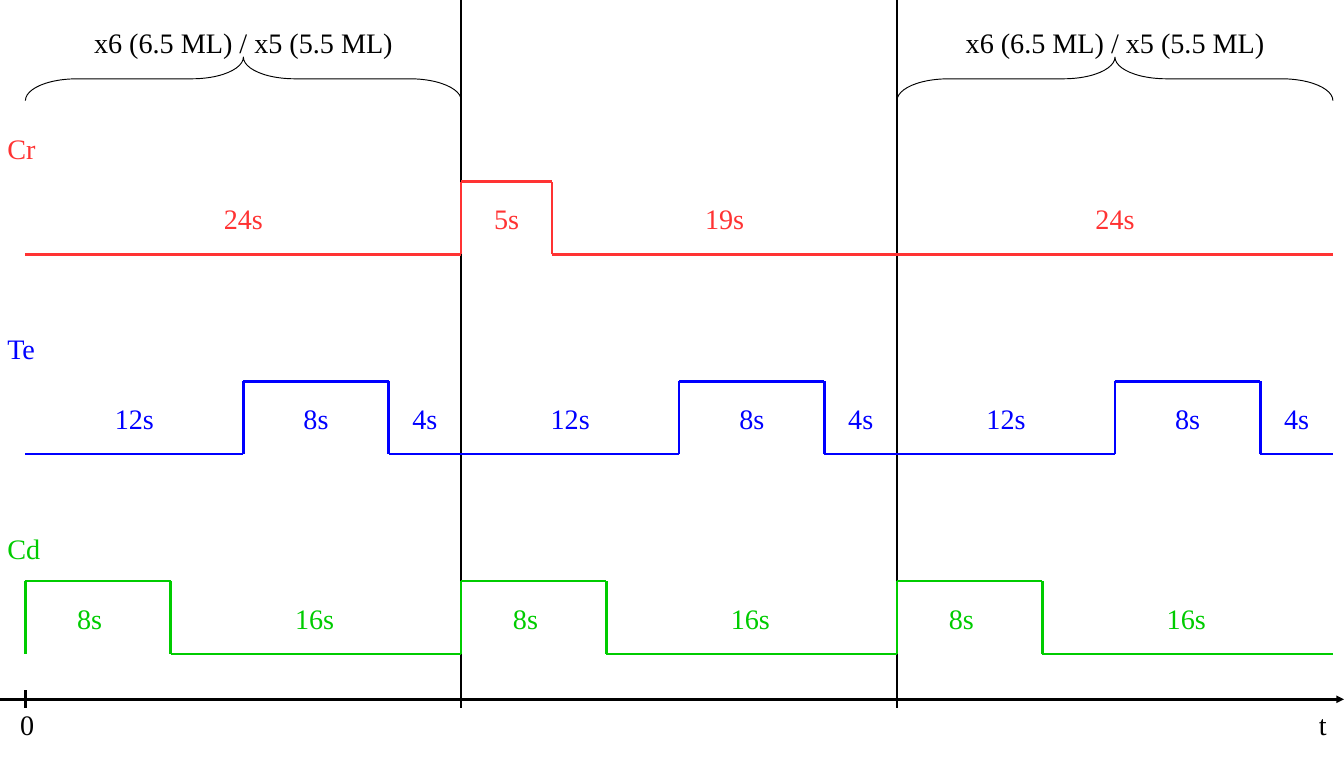
"""Build a timing diagram of the Cr, Te and Cd shutter pulses."""
from dataclasses import dataclass

from lxml.etree import SubElement
from pptx import Presentation
from pptx.dml.color import RGBColor
from pptx.enum.shapes import MSO_CONNECTOR, MSO_SHAPE
from pptx.enum.text import MSO_AUTO_SIZE, PP_ALIGN
from pptx.oxml.ns import qn
from pptx.util import Pt


@dataclass(frozen=True)
class Theme:
    black: str = "000000"
    red: str = "FF3333"
    blue: str = "0000FF"
    green: str = "00CC00"
    font: str = "Times New Roman"
    size: int = 22


theme = Theme()
deck = Presentation()
deck.slide_width, deck.slide_height = Pt(1049), Pt(595.4)
slide = deck.slides.add_slide(deck.slide_layouts[6])
shapes = slide.shapes


def write(text, left, top, width, color=theme.black, align=PP_ALIGN.CENTER):
    box = shapes.add_textbox(Pt(left), Pt(top), Pt(width), Pt(31.7))
    frame = box.text_frame
    frame.word_wrap = True
    frame.auto_size = MSO_AUTO_SIZE.SHAPE_TO_FIT_TEXT
    para = frame.paragraphs[0]
    para.alignment = align
    run = para.add_run()
    run.text = text
    run.font.name = theme.font
    run.font.size = Pt(theme.size)
    run.font.color.rgb = RGBColor.from_string(color)


def draw(x1, y1, x2, y2, color=theme.black):
    line = shapes.add_connector(MSO_CONNECTOR.STRAIGHT, Pt(x1), Pt(y1), Pt(x2), Pt(y2))
    line.line.color.rgb = RGBColor.from_string(color)
    line.line.width = Pt(0)
    SubElement(line._element.spPr, qn("a:effectLst"))
    return line


start = 19.84
second = 14.173
cycle = 24 * second
axis = 545.7
rise = 56.7
label = 46.8

for turn, top in enumerate((axis - 7.1, 0, 0)):
    x = start + turn * cycle
    draw(x, top, x, axis + 7.1)
arrow = draw(0, axis, 1049, axis)
SubElement(arrow.line._get_or_add_ln(), qn("a:tailEnd"), type="triangle")
write("0", 8.6, 548.6, 23)
write("t", 1022.4, 548.6, 31, align=PP_ALIGN.LEFT)

rows = (
    ("Cr", theme.red, PP_ALIGN.CENTER, [(24, 0), (5, 1), (19, 0), (24, 0)]),
    ("Te", theme.blue, PP_ALIGN.CENTER, [(12, 0), (8, 1), (4, 0)] * 3),
    ("Cd", theme.green, PP_ALIGN.LEFT, [(8, 1), (16, 0)] * 3),
)
for row, (name, color, align, steps) in enumerate(rows):
    base = 198.4 + row * 155.9
    write(name, -1.4, base - 99.2, 43.2, color=color, align=PP_ALIGN.LEFT)
    x, last = start, 0
    for time, level in steps:
        end = x + time * second
        y = base - level * rise
        if level != last:
            draw(x, base, x, base - rise, color)
        draw(x, y, end, y, color)
        write(f"{time}s", (x + end - label) / 2, base - 44.6, label, color=color, align=align)
        x, last = end, level

depth = 34
for turn in (0, 2):
    mid = start + (turn + 0.5) * cycle
    brace = shapes.add_shape(
        MSO_SHAPE.LEFT_BRACE,
        Pt(mid - depth / 2), Pt(61.5 - cycle / 2), Pt(depth), Pt(cycle),
    )
    brace.rotation = 90
    brace.adjustments[0] = 1.18
    brace.shadow.inherit = False
    brace.fill.background()
    brace.line.color.rgb = RGBColor.from_string(theme.black)
    brace.line.width = Pt(0)
    write("x6 (6.5 ML) / x5 (5.5 ML)", mid - 144.7, 16.6, 289.4)

deck.save("out.pptx")
